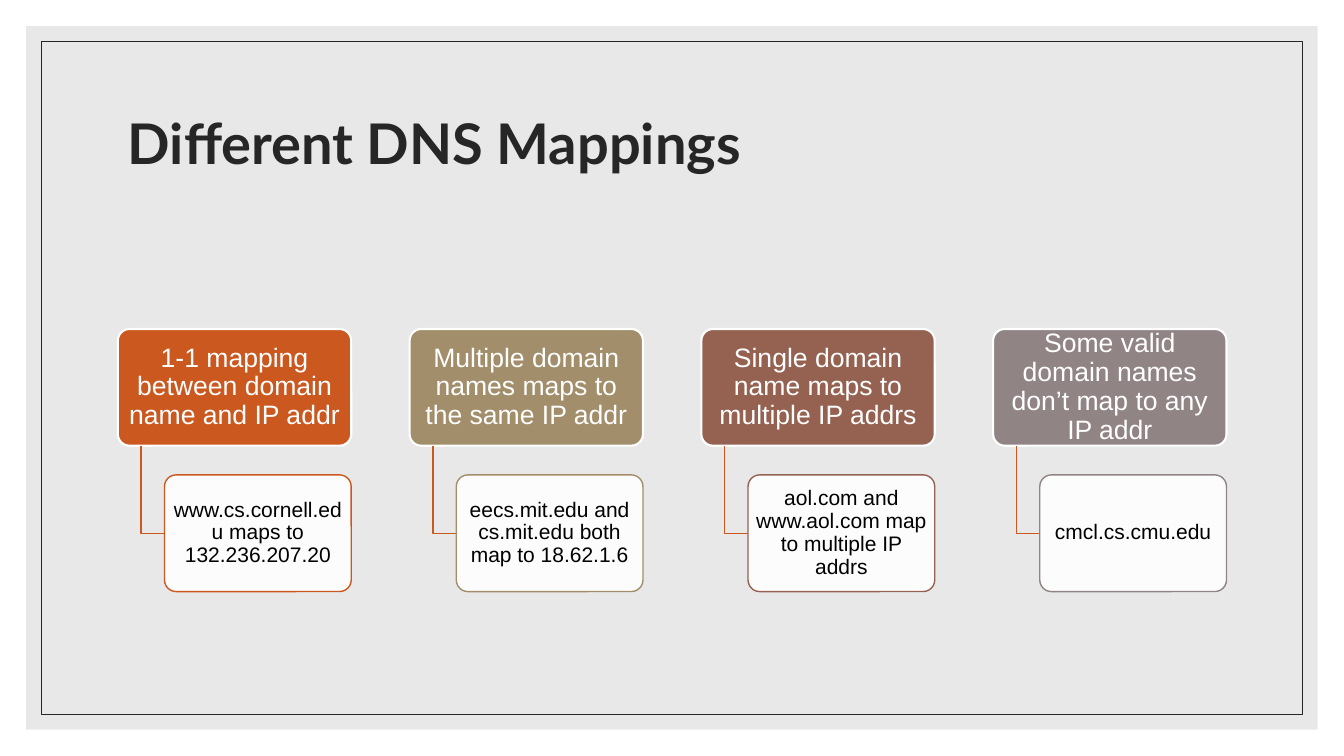
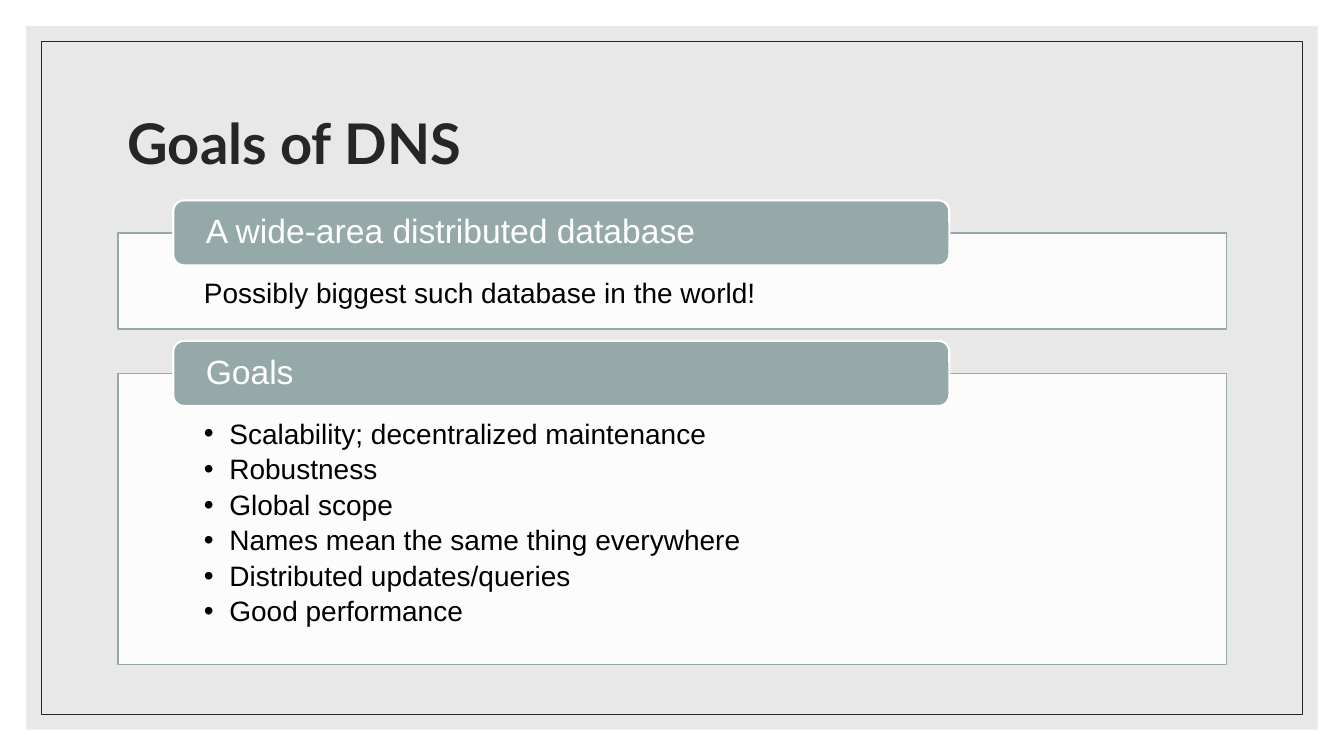
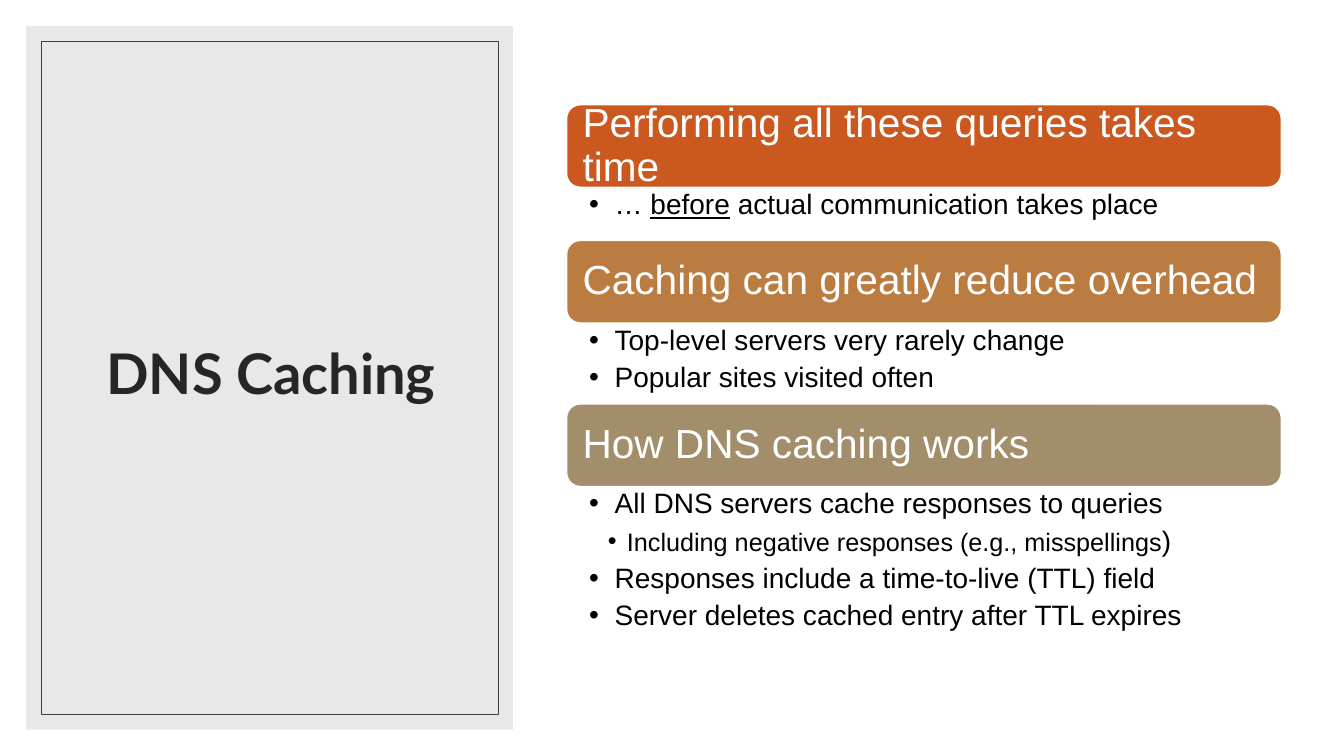
from lxml import etree
from pptx import Presentation
from pptx.dml.color import RGBColor
from pptx.enum.shapes import MSO_SHAPE
from pptx.enum.text import MSO_ANCHOR, PP_ALIGN
from pptx.oxml.ns import qn
from pptx.util import Cm, Pt

RECTANGLE, ROUNDED = MSO_SHAPE.RECTANGLE, MSO_SHAPE.ROUNDED_RECTANGLE
TOP, MIDDLE = MSO_ANCHOR.TOP, MSO_ANCHOR.MIDDLE
LEFT, CENTER = PP_ALIGN.LEFT, PP_ALIGN.CENTER

# Colours
WHITE = RGBColor(0xFF, 0xFF, 0xFF)
BLACK = RGBColor(0x00, 0x00, 0x00)
INK = RGBColor(0x26, 0x26, 0x26)
DARK_GRAY = RGBColor(0x40, 0x40, 0x40)
BAND = RGBColor(0xD9, 0xD9, 0xD9)
ORANGE = RGBColor(0xCB, 0x58, 0x1F)
OCHRE = RGBColor(0xBA, 0x7C, 0x41)
SAND = RGBColor(0xA2, 0x8E, 0x6A)
BROWN = RGBColor(0x95, 0x62, 0x51)
MAUVE = RGBColor(0x91, 0x84, 0x85)
SAGE = RGBColor(0x96, 0xA9, 0xA9)

# Text formats
TITLE = {"name": "Lato", "size": Pt(40), "bold": True, "color": INK}
BODY = {"name": "Arial", "size": Pt(20), "color": BLACK}
CARD_HEAD = {"name": "Arial", "size": Pt(19), "color": WHITE}
CARD_BODY = {"name": "Arial", "size": Pt(15), "color": BLACK}
PANEL_HEAD = {"name": "Arial", "size": Pt(24), "color": WHITE}
SECTION_HEAD = {"name": "Arial", "size": Pt(29), "color": WHITE}

# Bullet hanging distance and left margin by level, in cm
BULLETS = {1: (0.64, 0.64), 2: (0.95, 0.48)}

# Page geometry in cm
SLIDE_WIDTH, SLIDE_HEIGHT = 33.87, 19.05
MARGIN, FRAME_GAP = 0.66, 0.38
CONTENT_LEFT, CONTENT_WIDTH = 2.97, 27.94


def format_font(font, values):
    for name, value in values.items():
        if name == "color":
            font.color.rgb = value
        else:
            setattr(font, name, value)


def add_bullet(paragraph, level):
    margin, hanging = BULLETS[level]
    paragraph.level = level
    properties = paragraph._p.get_or_add_pPr()
    properties.set("marL", str(Cm(margin)))
    properties.set("indent", str(-Cm(hanging)))
    etree.SubElement(properties, qn("a:buFont")).set("typeface", "Arial")
    etree.SubElement(properties, qn("a:buChar")).set("char", "•")


def write(shape, paragraphs, text_format, anchor=MIDDLE, align=LEFT,
          insets=(0.25, 0.13, 0.25, 0.13), space_after=0):
    """Each paragraph is (bullet level, runs); each run is (text, overrides)."""
    frame = shape.text_frame
    settings = dict(zip(("margin_left", "margin_top", "margin_right", "margin_bottom"),
                        map(Cm, insets)), word_wrap=True, vertical_anchor=anchor)
    for name, value in settings.items():
        setattr(frame, name, value)
    for index, (level, runs) in enumerate(paragraphs):
        paragraph = frame.add_paragraph() if index else frame.paragraphs[0]
        if level:
            add_bullet(paragraph, level)
        values = {"alignment": align, "line_spacing": 0.9,
                  "space_before": Pt(0), "space_after": Pt(space_after)}
        for name, value in values.items():
            setattr(paragraph, name, value)
        for text, overrides in runs:
            run = paragraph.add_run()
            run.text = text
            format_font(run.font, {**text_format, **overrides})


def plain(text, level=0):
    return level, [(text, {})]


def add_box(slide, kind, box, fill=None, line=None, width=1, opacity=100, corner=None):
    shape = slide.shapes.add_shape(kind, *map(Cm, box))
    shape.shadow.inherit = False
    if corner is not None:
        shape.adjustments[0] = corner
    if fill is None:
        shape.fill.background()
    else:
        shape.fill.solid()
        shape.fill.fore_color.rgb = fill
        if opacity < 100:
            color = shape.fill._xPr.find(qn("a:solidFill"))[0]
            etree.SubElement(color, qn("a:alpha")).set("val", str(opacity * 1000))
    set_line(shape, line, width)
    return shape


def set_line(shape, color, width):
    if color is None:
        shape.line.fill.background()
    else:
        shape.line.color.rgb = color
        shape.line.width = Pt(width)


def add_text(slide, box, *args, **options):
    write(slide.shapes.add_textbox(*map(Cm, box)), *args, **options)


def new_slide(presentation, title, title_box, band_width, frame_color=INK, align=LEFT):
    """Gray band with an outlined frame inside it, and the title."""
    slide = presentation.slides.add_slide(presentation.slide_layouts[6])
    slide.background.fill.solid()
    slide.background.fill.fore_color.rgb = WHITE
    height = SLIDE_HEIGHT - 2 * MARGIN
    add_box(slide, RECTANGLE, (MARGIN, MARGIN, band_width, height), BAND, opacity=60)
    start = MARGIN + FRAME_GAP
    add_box(slide, RECTANGLE, (start, start, band_width - 2 * FRAME_GAP,
                               height - 2 * FRAME_GAP), line=frame_color, width=0.5)
    add_text(slide, title_box, [plain(title)], TITLE, align=align)
    return slide


def wide_slide(presentation, title):
    return new_slide(presentation, title, (CONTENT_LEFT, 1.78, CONTENT_WIDTH, 3.81),
                     SLIDE_WIDTH - 2 * MARGIN)


def add_mapping(slide, left, top, width, heading, example, color):
    """Heading card with an example hanging from it by an elbow line."""
    height = width / 2
    head = add_box(slide, ROUNDED, (left, top, width, height), color, WHITE, 1.5, corner=0.1)
    write(head, [plain(heading)], CARD_HEAD, align=CENTER, insets=(0.1, 0.07, 0.1, 0.07))

    stem, child_left = left + width * 0.1, left + width * 0.2
    child_top = top + height * 1.25
    middle = child_top + height / 2
    builder = slide.shapes.build_freeform(Cm(stem), Cm(top + height))
    builder.add_line_segments([(Cm(stem), Cm(middle)), (Cm(child_left), Cm(middle))],
                              close=False)
    elbow = builder.convert_to_shape()
    elbow.shadow.inherit = False
    elbow.fill.background()
    set_line(elbow, ORANGE, 1)

    child = add_box(slide, ROUNDED, (child_left, child_top, width * 0.8, height),
                    WHITE, color, opacity=90, corner=0.1)
    write(child, [plain(example)], CARD_BODY, align=CENTER, insets=(0.08, 0.05, 0.08, 0.05))


def add_panel(slide, left, top, width, height, heading, paragraphs):
    """Outlined panel with a heading tab over its top edge."""
    panel = add_box(slide, RECTANGLE, (left, top, width, height), WHITE, SAGE, opacity=90)
    write(panel, paragraphs, BODY, TOP, insets=(2.17, 1.17, 2.17, 0.41), space_after=3.8)
    tab = add_box(slide, ROUNDED, (left + width * 0.05, top - 0.82, width * 0.7, 1.64),
                  SAGE, WHITE, 1.5)
    write(tab, [plain(heading)], PANEL_HEAD, insets=(0.74, 0, 0.74, 0))


def add_section(slide, left, top, width, body_height, heading, color, paragraphs):
    """Heading bar with bullets below; returns the bottom edge."""
    bar_height = 2.08
    bar = add_box(slide, ROUNDED, (left, top, width, bar_height), color, WHITE)
    write(bar, [plain(heading)], SECTION_HEAD, insets=(0.3, 0.3, 0.3, 0.3))
    body_top = top + bar_height
    add_text(slide, (left, body_top, width, body_height), paragraphs, BODY, TOP,
             insets=(0.57, 0.08, 0.4, 0.08), space_after=5)
    return body_top + body_height


def mappings_slide(presentation):
    slide = wide_slide(presentation, "Different DNS Mappings")
    mappings = [
        ("1-1 mapping between domain name and IP addr",
         "www.cs.cornell.edu maps to 132.236.207.20", ORANGE),
        ("Multiple domain names maps to the same IP addr",
         "eecs.mit.edu and cs.mit.edu both map to 18.62.1.6", SAND),
        ("Single domain name maps to multiple IP addrs",
         "aol.com and www.aol.com map to multiple IP addrs", BROWN),
        ("Some valid domain names don’t map to any IP addr", "cmcl.cs.cmu.edu", MAUVE),
    ]
    # Gaps are a quarter of a card wide
    width = CONTENT_WIDTH / (len(mappings) * 1.25 - 0.25)
    for index, mapping in enumerate(mappings):
        add_mapping(slide, CONTENT_LEFT + index * width * 1.25, 8.29, width, *mapping)


def goals_slide(presentation):
    slide = wide_slide(presentation, "Goals of DNS")
    goals = ["Scalability; decentralized maintenance", "Robustness", "Global scope",
             "Names mean the same thing everywhere", "Distributed updates/queries",
             "Good performance"]
    panels = [
        (2.42, "A wide-area distributed database",
         [plain("Possibly biggest such database in the world!")]),
        (7.34, "Goals", [plain(goal, 1) for goal in goals]),
    ]
    top = 5.87
    for height, heading, paragraphs in panels:
        add_panel(slide, CONTENT_LEFT, top, CONTENT_WIDTH, height, heading, paragraphs)
        top += height + 1.12


def caching_slide(presentation):
    slide = new_slide(presentation, "DNS Caching", (1.6, 1.55, 10.46, 15.85), 12.27,
                      DARK_GRAY, CENTER)
    sections = [
        (1.34, "Performing all these queries takes time", ORANGE,
         [(1, [("… ", {}), ("before", {"underline": True}),
               (" actual communication takes place", {})])]),
        (2.04, "Caching can greatly reduce overhead", OCHRE,
         [plain("Top-level servers very rarely change", 1),
          plain("Popular sites visited often", 1)]),
        (4.09, "How DNS caching works", SAND,
         [plain("All DNS servers cache responses to queries", 1),
          (2, [("Including negative responses (e.g., misspellings", {"size": Pt(18)}),
               (")", {})]),
          plain("Responses include a time-to-live (TTL) field", 1),
          plain("Server deletes cached entry after TTL expires", 1)]),
    ]
    top = 2.64
    for section in sections:
        top = add_section(slide, 14.28, top, 18.01, *section)


def main():
    presentation = Presentation()
    presentation.slide_width = Cm(SLIDE_WIDTH)
    presentation.slide_height = Cm(SLIDE_HEIGHT)
    mappings_slide(presentation)
    goals_slide(presentation)
    caching_slide(presentation)
    presentation.save("out.pptx")


if __name__ == "__main__":
    main()
